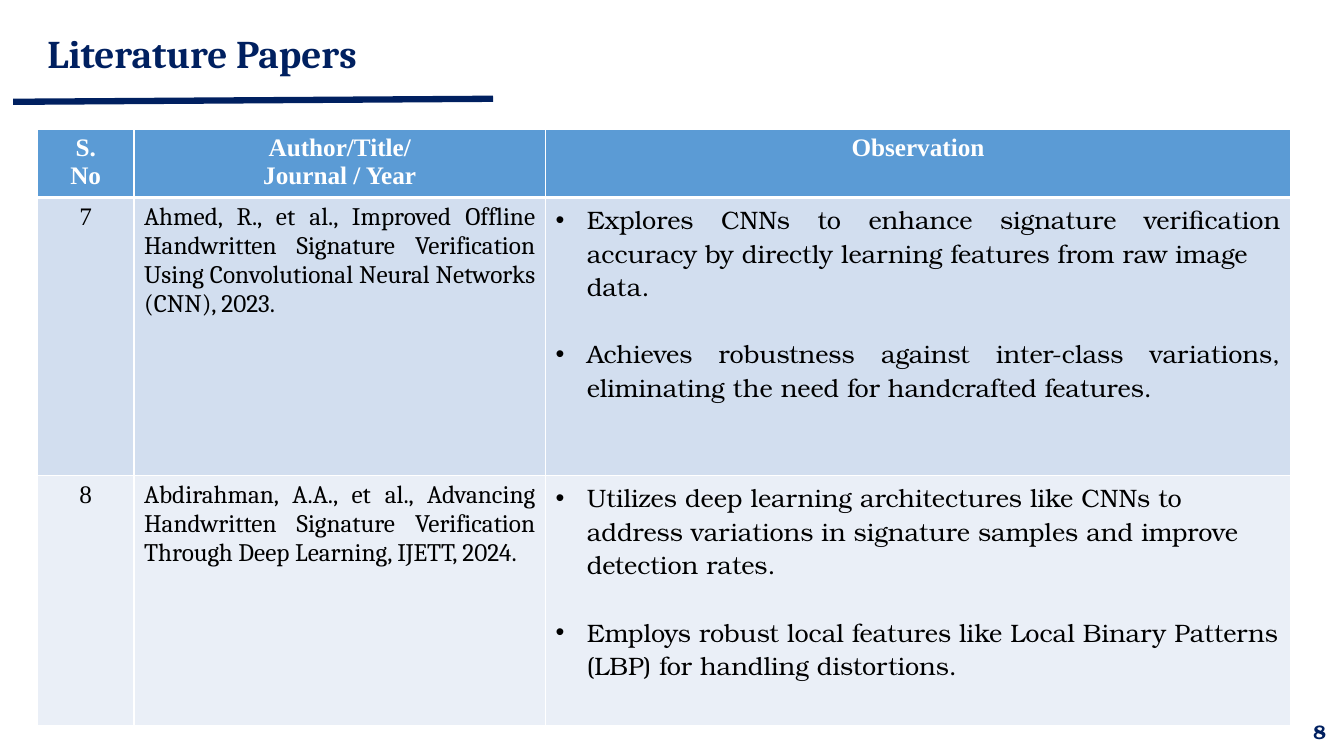
from pptx import Presentation
from pptx.dml.color import RGBColor
from pptx.enum.shapes import MSO_CONNECTOR
from pptx.enum.text import MSO_ANCHOR, PP_ALIGN
from pptx.oxml.ns import qn
from pptx.util import Inches, Pt
from lxml.etree import SubElement

LEFT, MID, RIGHT, JUST = PP_ALIGN.LEFT, PP_ALIGN.CENTER, PP_ALIGN.RIGHT, PP_ALIGN.JUSTIFY
MIDDLE = MSO_ANCHOR.MIDDLE
STRAIGHT = MSO_CONNECTOR.STRAIGHT
NAVY, WHITE, BLACK, BLUE = "002060", "FFFFFF", "000000", "5B9BD5"
BANDS = ["D2DEEF", "EAEFF7"]
SERIF, TIMES, BONUM = "Cambria", "Times New Roman", "TeX Gyre Bonum"
COLS = [0.96, 4.08, 7.39]
ROWS = [0.68, 2.76, 2.48]
HEADS = [["S.", "No"], ["Author/Title/", "Journal / Year"], ["Observation"]]
PAPERS = [
    ("7", "Ahmed, R., et al., Improved Offline Handwritten Signature Verification "
     "Using Convolutional Neural Networks (CNN), 2023.", JUST,
     [("Explores CNNs to enhance signature verification accuracy by directly "
       "learning features from raw image", True, 0),
      ("data.", False, 0),
      ("Achieves robustness against inter-class variations, eliminating the need "
       "for handcrafted features.", True, 24)]),
    ("8", "Abdirahman, A.A., et al., Advancing Handwritten Signature Verification "
     "Through Deep Learning, IJETT, 2024.", JUST,
     [("Utilizes deep learning architectures like CNNs to address variations in "
       "signature samples and improve detection rates.", True, 0),
      ("Employs robust local features like Local Binary Patterns (LBP) for "
       "handling distortions.", True, 24)]),
]
PAPERS[1] = PAPERS[1][:2] + (LEFT,) + PAPERS[1][3:]


def paint(code):
    """Return the colour for a hex string."""
    return RGBColor.from_string(code)


def write(frame, text, first=True, size=18, font=TIMES, color=BLACK, bold=False,
          align=LEFT, before=0, space=1.0):
    """Write one formatted paragraph and return it."""
    para = frame.paragraphs[0] if first else frame.add_paragraph()
    para.alignment = align
    para.space_before = Pt(before)
    para.line_spacing = space
    run = para.add_run()
    run.text = text
    run.font.size, run.font.name, run.font.bold = Pt(size), font, bold
    run.font.color.rgb = paint(color)
    return para


def indent(para, mark):
    """Indent a paragraph, hanging a bullet if marked."""
    props = para._p.get_or_add_pPr()
    props.set("marL", str(Inches(0.31)))
    props.set("indent", str(-Inches(0.31) if mark else 0))
    if mark:
        SubElement(props, qn("a:buFont"), typeface="Arial")
        SubElement(props, qn("a:buChar"), char="•")
    else:
        SubElement(props, qn("a:buNone"))


def style(cell, fill, base=1):
    """Give a cell white borders and a solid fill."""
    props = cell._tc.get_or_add_tcPr()
    for side, width in zip("LRTB", (1, 1, 1, base)):
        line = SubElement(props, qn("a:ln" + side), w=str(Pt(width)))
        solid = SubElement(line, qn("a:solidFill"))
        SubElement(solid, qn("a:srgbClr"), val=WHITE)
    cell.fill.solid()
    cell.fill.fore_color.rgb = paint(fill)


def header(slide, left, top, width, height):
    """Place the title and the rule below it."""
    title = slide.shapes.title
    title.left, title.top = Inches(left), Inches(top)
    title.width, title.height = Inches(width), Inches(height)
    title.text_frame.vertical_anchor = MIDDLE
    write(title.text_frame, "Literature Papers", size=28, font=SERIF,
          color=NAVY, bold=True, space=0.9)
    rule = slide.shapes.add_connector(
        STRAIGHT, Inches(left - 0.24), Inches(top + 0.78),
        Inches(left + 4.52), Inches(top + 0.75))
    rule.line.color.rgb = paint(NAVY)
    rule.line.width = Pt(4.5)
    SubElement(rule._element.spPr, qn("a:effectLst"))


def papers(slide, left, top):
    """Build the table of papers."""
    table = slide.shapes.add_table(
        len(ROWS), len(COLS), Inches(left), Inches(top),
        Inches(sum(COLS)), Inches(sum(ROWS))).table
    for col, width in zip(table.columns, COLS):
        col.width = Inches(width)
    for row, height in zip(table.rows, ROWS):
        row.height = Inches(height)
    for col, lines in enumerate(HEADS):
        cell = table.cell(0, col)
        style(cell, BLUE, base=3)
        for num, text in enumerate(lines):
            write(cell.text_frame, text, num == 0, color=WHITE, bold=True, align=MID)
    for row, (label, cite, align, notes) in enumerate(PAPERS, 1):
        cells = [table.cell(row, col) for col in range(len(COLS))]
        for cell in cells:
            style(cell, BANDS[row - 1])
        write(cells[0].text_frame, label, align=MID)
        write(cells[1].text_frame, cite, font=SERIF, align=JUST)
        for num, (text, mark, gap) in enumerate(notes):
            para = write(cells[2].text_frame, text, num == 0, font=BONUM,
                         align=align, before=gap)
            indent(para, mark)


def footer(slide, left, top, width, height):
    """Place the slide number."""
    box = slide.shapes.add_textbox(
        Inches(left), Inches(top), Inches(width), Inches(height))
    box.text_frame.word_wrap = True
    box.text_frame.vertical_anchor = MIDDLE
    write(box.text_frame, "8", size=14, font=BONUM, color=NAVY, bold=True, align=RIGHT)


def main():
    """Build and save the slide."""
    deck = Presentation()
    deck.slide_width, deck.slide_height = Inches(13.33), Inches(7.5)
    slide = deck.slides.add_slide(deck.slide_layouts[5])
    header(slide, 0.37, 0.23, 10.68, 0.65)
    papers(slide, 0.37, 1.28)
    footer(slide, 10.25, 7.06, 3, 0.4)
    deck.save("out.pptx")


if __name__ == "__main__":
    main()
